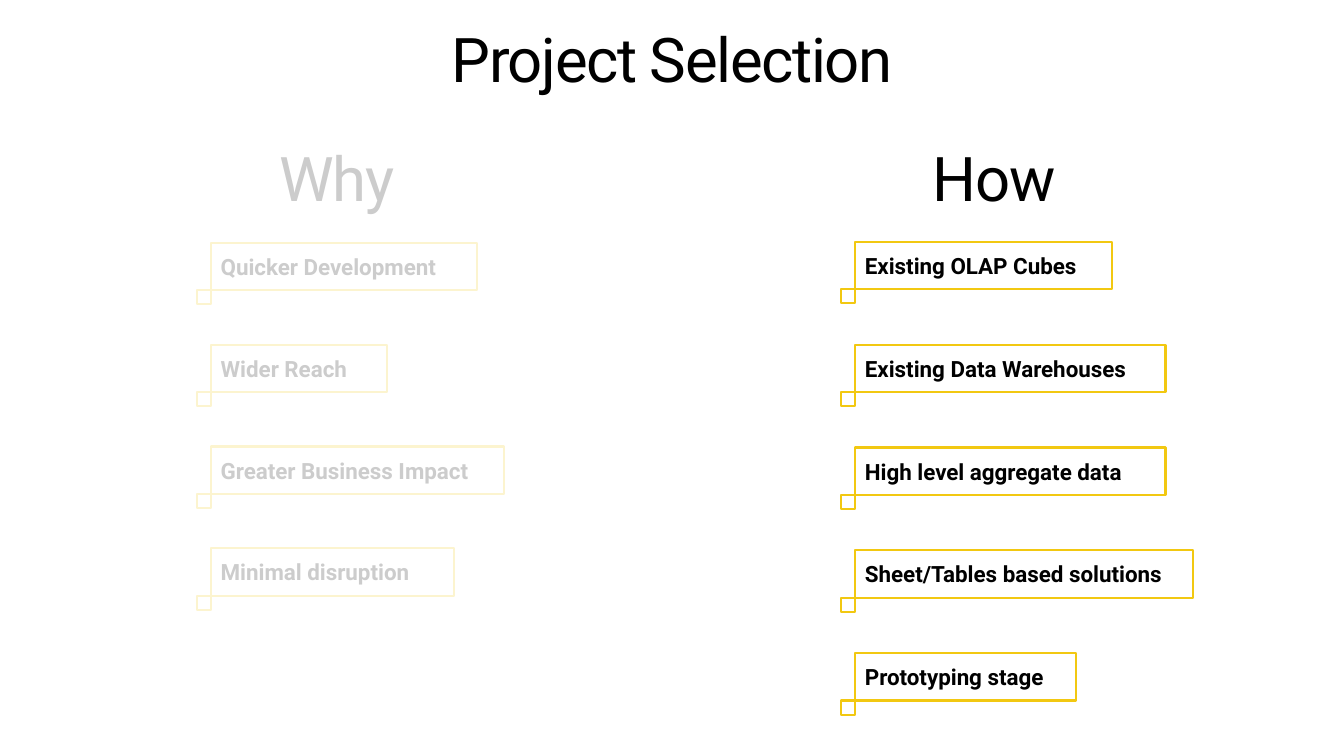
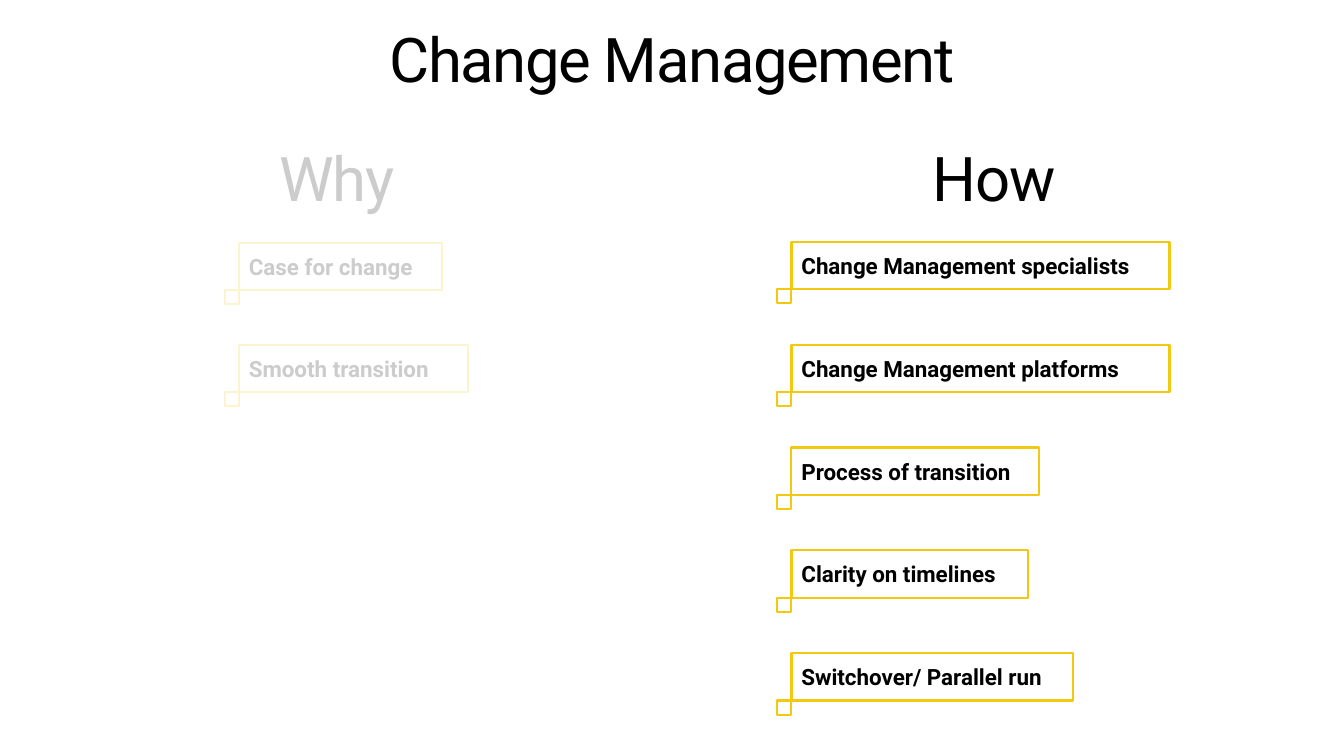
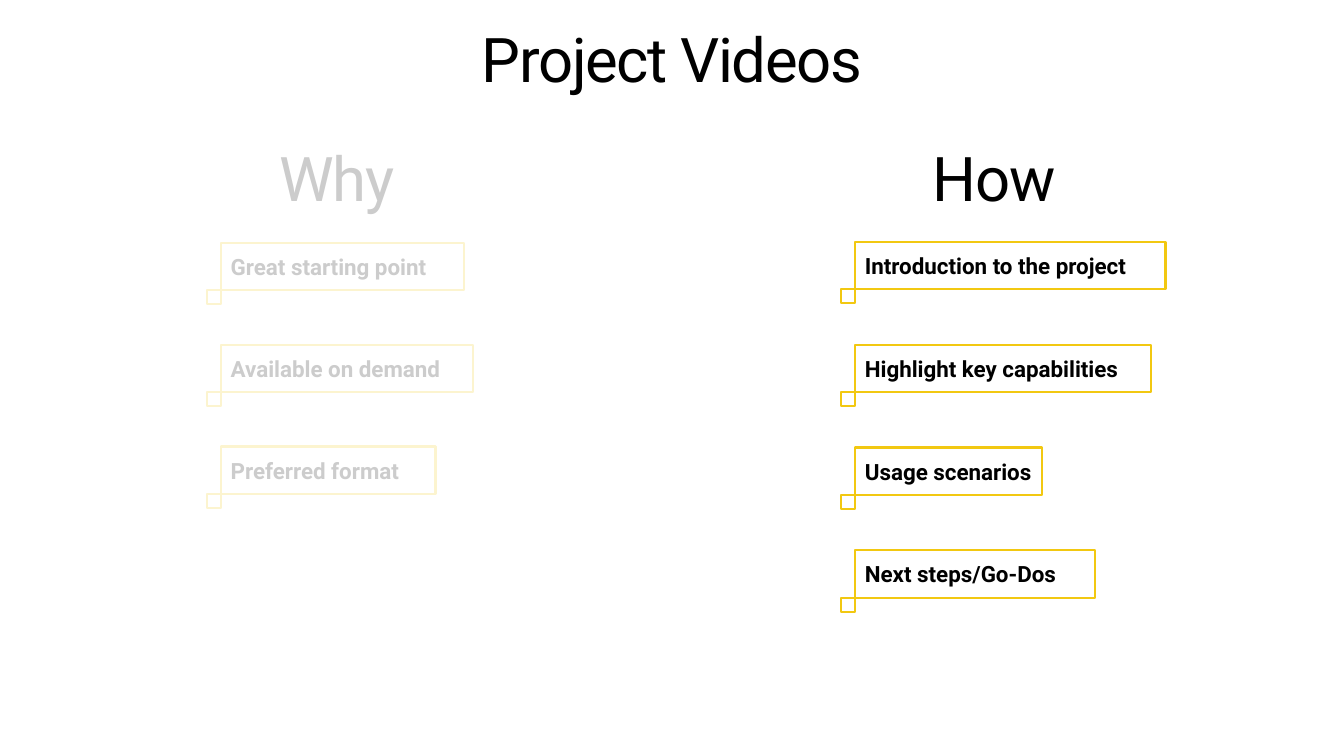
"""Build three Why / How slides with outlined labels and a faded Why side."""
from lxml.etree import SubElement
from pptx import Presentation
from pptx.dml.color import RGBColor
from pptx.enum.shapes import MSO_SHAPE
from pptx.enum.text import MSO_ANCHOR, MSO_AUTO_SIZE, PP_ALIGN
from pptx.oxml.ns import qn
from pptx.util import Inches, Pt

FONT = "Roboto"
BLACK, WHITE, YELLOW = "000000", "FFFFFF", "F2C811"
LABEL_HEIGHT = 0.47
MARKER_SIZE = 0.14
WHY_ROWS = (2.41, 1.01)
HOW_ROWS = (2.4, 1.02)

SLIDES = [
    {
        "title": "Project Selection",
        "why_left": 2.09,
        "why": [("Quicker Development", 2.64), ("Wider Reach", 1.75),
                ("Greater Business Impact", 2.91), ("Minimal disruption", 2.41)],
        "how_left": 8.48,
        "how": [("Existing OLAP Cubes", 2.55), ("Existing Data Warehouses", 3.08),
                ("High level aggregate data", 3.08),
                ("Sheet/Tables based solutions", 3.35), ("Prototyping stage", 2.19)],
    },
    {
        "title": "Change Management",
        "why_left": 2.37,
        "why": [("Case for change", 2.01), ("Smooth transition", 2.27)],
        "how_left": 7.85,
        "how": [("Change Management specialists", 3.75),
                ("Change Management platforms", 3.75), ("Process of transition", 2.46),
                ("Clarity on timelines", 2.35), ("Switchover/ Parallel run", 2.79)],
    },
    {
        "title": "Project Videos",
        "why_left": 2.19,
        "why": [("Great starting point", 2.41), ("Available on demand", 2.5),
                ("Preferred format", 2.13)],
        "how_left": 8.48,
        "how": [("Introduction to the project", 3.08), ("Highlight key capabilities", 2.94),
                ("Usage scenarios", 1.86), ("Next steps/Go-Dos", 2.38)],
    },
]


def color(value):
    """Turn a hex string into a colour."""
    return RGBColor.from_string(value)


def set_margins(frame, side, edge):
    """Set the inner margins of a text frame."""
    frame.margin_left = frame.margin_right = Inches(side)
    frame.margin_top = frame.margin_bottom = Inches(edge)


def add_span(para, text, size, bold=False):
    """Add one run of black text to a paragraph."""
    span = para.add_run()
    span.text = text
    span.font.name = FONT
    span.font.size = Pt(size)
    span.font.bold = bold
    span.font.color.rgb = color(BLACK)
    return span


def add_heading(page, text, left, top, width, height, anchor=MSO_ANCHOR.MIDDLE):
    """Add a large centred heading with tight letter spacing."""
    box = page.shapes.add_textbox(Inches(left), Inches(top), Inches(width), Inches(height))
    frame = box.text_frame
    frame.word_wrap = True
    frame.vertical_anchor = anchor
    set_margins(frame, 0.16, 0.1)
    para = frame.paragraphs[0]
    para.alignment = PP_ALIGN.CENTER
    para.line_spacing = 0.9
    span = add_span(para, text, 44)
    span.font._element.set("spc", "-100")


def add_rectangle(page, left, top, width, height):
    """Add a plain rectangle without a shadow."""
    box = page.shapes.add_shape(MSO_SHAPE.RECTANGLE, Inches(left), Inches(top),
                                Inches(width), Inches(height))
    box.shadow.inherit = False
    return box


def add_outline(page, left, top, width, height):
    """Add an unfilled rectangle with a yellow line."""
    box = add_rectangle(page, left, top, width, height)
    box.fill.background()
    box.line.color.rgb = color(YELLOW)
    box.line.width = Pt(1.5)
    return box


def add_label(page, text, left, top, width):
    """Add an outlined label with a small square at its lower left corner."""
    box = add_outline(page, left, top, width, LABEL_HEIGHT)
    frame = box.text_frame
    frame.word_wrap = True
    frame.auto_size = MSO_AUTO_SIZE.SHAPE_TO_FIT_TEXT
    frame.vertical_anchor = MSO_ANCHOR.MIDDLE
    set_margins(frame, 0.1, 0.1)
    para = frame.paragraphs[0]
    para.alignment = PP_ALIGN.LEFT
    add_span(para, text, 16, bold=True)
    add_outline(page, left - MARKER_SIZE, top + LABEL_HEIGHT, MARKER_SIZE, MARKER_SIZE)


def add_column(page, labels, left, rows):
    """Add a column of evenly spaced labels."""
    top, pitch = rows
    for index, (text, width) in enumerate(labels):
        add_label(page, text, left, top + index * pitch, width)


def add_veil(page):
    """Fade the Why side with a translucent white rectangle."""
    veil = add_rectangle(page, 0, 1.19, 6.76, 6.31)
    veil.fill.solid()
    veil.fill.fore_color.rgb = color(WHITE)
    veil.line.fill.background()
    shade = veil._element.spPr.find(qn("a:solidFill")).find(qn("a:srgbClr"))
    SubElement(shade, qn("a:alpha")).set("val", "80000")


def add_page(deck, content):
    """Add one Why / How slide."""
    page = deck.slides.add_slide(deck.slide_layouts[6])
    add_heading(page, content["title"], 0.29, 0.32, 12.75, 0.61)
    add_heading(page, "Why", 0.83, 1.37, 5.02, 1.72, MSO_ANCHOR.TOP)
    add_column(page, content["why"], content["why_left"], WHY_ROWS)
    add_heading(page, "How", 7.4, 1.19, 4.92, 1.22)
    add_column(page, content["how"], content["how_left"], HOW_ROWS)
    add_veil(page)


def main():
    """Build and save the deck."""
    deck = Presentation()
    deck.slide_width = Inches(13.33)
    deck.slide_height = Inches(7.5)
    for content in SLIDES:
        add_page(deck, content)
    deck.save("out.pptx")


if __name__ == "__main__":
    main()
